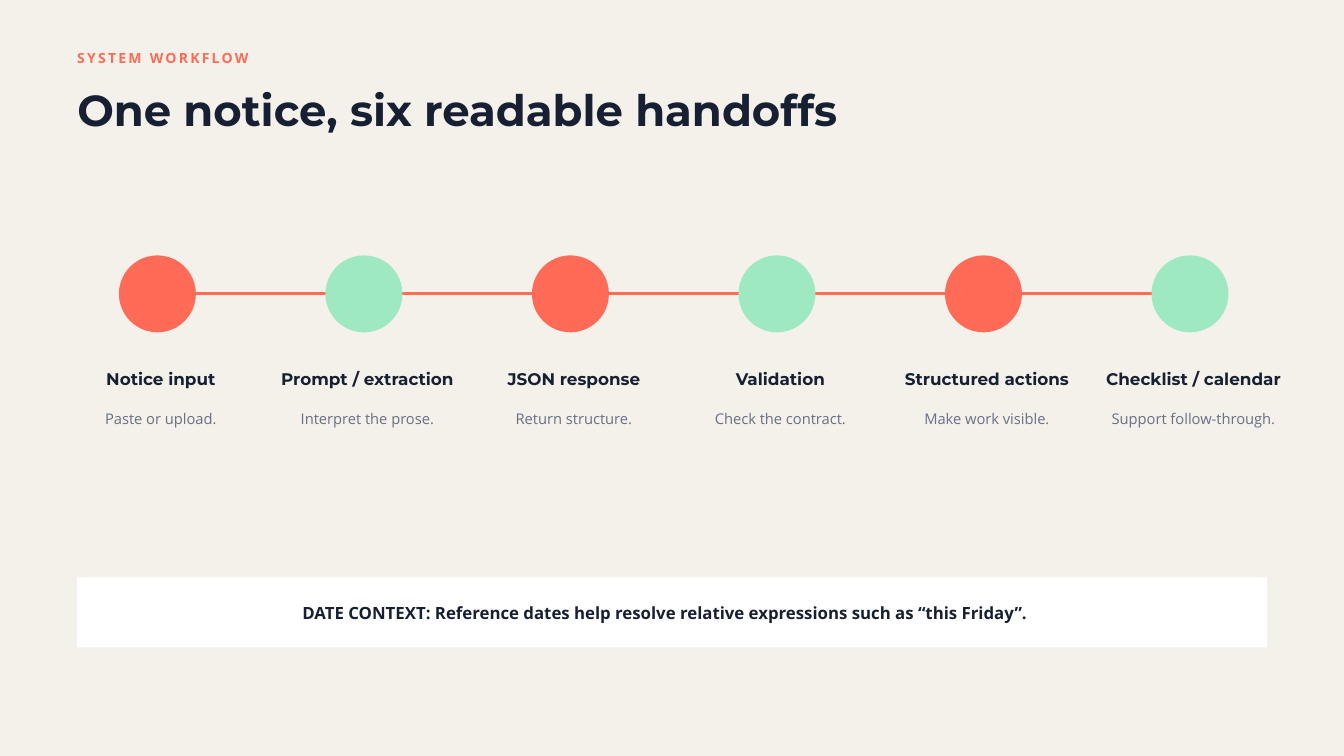
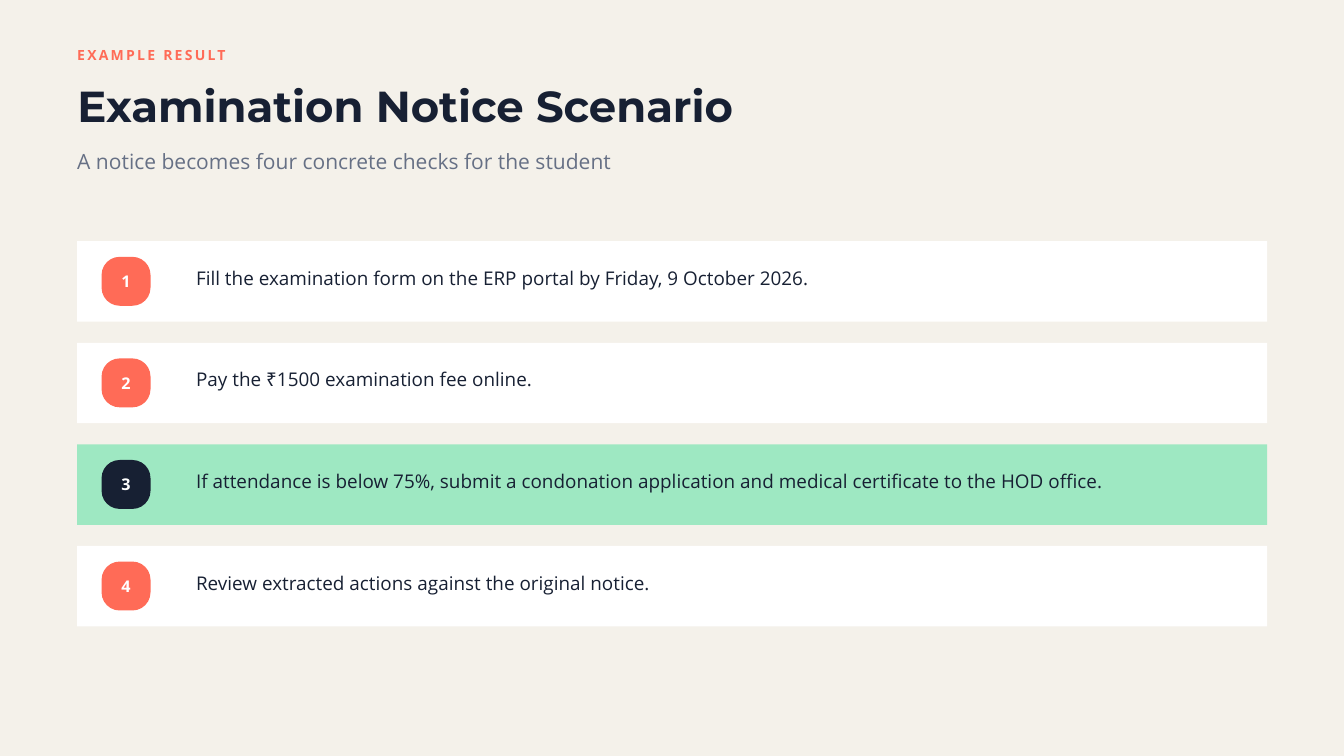
import dataclasses

import pptx
import pptx.dml.color
import pptx.enum.shapes
import pptx.enum.text
import pptx.oxml.ns
import pptx.util
from lxml import etree

Cm, Pt = pptx.util.Cm, pptx.util.Pt
RGBColor = pptx.dml.color.RGBColor
Shape = pptx.enum.shapes.MSO_SHAPE
Align = pptx.enum.text.PP_ALIGN
Anchor = pptx.enum.text.MSO_ANCHOR

PAPER = RGBColor(0xF4, 0xF1, 0xEA)
CORAL = RGBColor(0xFF, 0x6B, 0x57)
MINT = RGBColor(0x9E, 0xE8, 0xC2)
NAVY = RGBColor(0x17, 0x20, 0x33)
GREY = RGBColor(0x66, 0x70, 0x85)
WHITE = RGBColor(0xFF, 0xFF, 0xFF)

MARGIN = 2.92
CONTENT_WIDTH = 44.98


@dataclasses.dataclass
class Style:
    font: str
    size: float
    leading: float
    color: RGBColor
    bold: bool = False
    align: Align = Align.LEFT
    tracking: float = 0


EYEBROW = Style("Open Sans", 15, 21, CORAL, bold=True, tracking=2.4)
TITLE = Style("Montserrat", 46.5, 50.2, NAVY, bold=True)
SUBTITLE = Style("Open Sans", 22.5, 31.5, GREY)
STEP_NAME = Style("Montserrat", 18, 25.2, NAVY, bold=True, align=Align.CENTER)
STEP_NOTE = Style("Open Sans", 15.75, 22, GREY, align=Align.CENTER)
CONTEXT = Style("Open Sans", 18, 25.2, NAVY, bold=True, align=Align.CENTER)
BADGE = Style("Open Sans", 17.25, 19.8, WHITE, bold=True, align=Align.CENTER)
CHECK = Style("Open Sans", 20.25, 27.3, NAVY)

STEPS = [
    ("Notice input", "Paste or upload."),
    ("Prompt / extraction", "Interpret the prose."),
    ("JSON response", "Return structure."),
    ("Validation", "Check the contract."),
    ("Structured actions", "Make work visible."),
    ("Checklist / calendar", "Support follow-through."),
]

CHECKS = [
    ("Fill the examination form on the ERP portal by Friday, 9 October 2026.", WHITE, CORAL),
    ("Pay the ₹1500 examination fee online.", WHITE, CORAL),
    ("If attendance is below 75%, submit a condonation application and medical "
     "certificate to the HOD office.", MINT, NAVY),
    ("Review extracted actions against the original notice.", WHITE, CORAL),
]


def write(box, text, style, anchor=Anchor.TOP, inset=0):
    frame = box.text_frame
    frame.text = text
    frame.word_wrap = True
    frame.auto_size = pptx.enum.text.MSO_AUTO_SIZE.NONE
    frame.vertical_anchor = anchor
    frame.margin_left = frame.margin_right = Cm(inset)
    frame.margin_top = frame.margin_bottom = Cm(inset)
    para = frame.paragraphs[0]
    para.alignment = style.align
    para.line_spacing = Pt(style.leading)
    para.space_before = Pt(0)
    span = para.runs[0]
    span.font.name = style.font
    span.font.size = Pt(style.size)
    span.font.bold = style.bold
    span.font.color.rgb = style.color
    if style.tracking:
        span.font._element.set("spc", str(round(style.tracking * 100)))


def add_text(page, text, style, left, top, width, height):
    box = page.shapes.add_textbox(Cm(left), Cm(top), Cm(width), Cm(height))
    write(box, text, style)


def add_block(page, kind, color, left, top, width, height):
    """Add a flat filled shape without outline."""
    block = page.shapes.add_shape(kind, Cm(left), Cm(top), Cm(width), Cm(height))
    block.shadow.inherit = False
    block.fill.solid()
    block.fill.fore_color.rgb = color
    block.line.fill.background()
    return block


def add_rule(page, start, end, y):
    rule = page.shapes.add_connector(
        pptx.enum.shapes.MSO_CONNECTOR.STRAIGHT, Cm(start), Cm(y), Cm(end), Cm(y))
    rule.line.color.rgb = CORAL
    rule.line.width = Pt(3)
    etree.SubElement(rule._element.spPr, pptx.oxml.ns.qn("a:effectLst"))


def add_page(deck, eyebrow, title, top):
    """Add a slide with the shared background, eyebrow and title."""
    page = deck.slides.add_slide(deck.slide_layouts.get_by_name("Title Only"))
    page.background.fill.solid()
    page.background.fill.fore_color.rgb = PAPER
    add_text(page, eyebrow, EYEBROW, MARGIN, top, 15.88, 0.71)
    heading = page.shapes.title
    heading.left, heading.top = Cm(MARGIN), Cm(top + 1.55)
    heading.width, heading.height = Cm(39.67), Cm(1.78)
    write(heading, title, TITLE)
    return page


def add_step(page, name, note, color, center, y):
    dot = 2.91
    add_block(page, Shape.OVAL, color, center - dot / 2, y - dot / 2, dot, dot)
    label_left, label_width = center - 3.31, 6.88
    add_text(page, name, STEP_NAME, label_left, y + 2.7, label_width, 0.84)
    add_text(page, note, STEP_NOTE, label_left, y + 4.28, label_width, 0.74)


def add_check(page, number, text, card_color, badge_color, top):
    add_block(page, Shape.RECTANGLE, card_color, MARGIN, top, CONTENT_WIDTH, 3.04)
    badge = add_block(page, Shape.ROUNDED_RECTANGLE, badge_color,
                      MARGIN + 0.92, top + 0.59, 1.85, 1.85)
    badge.adjustments[0] = 0.37
    write(badge, str(number), BADGE, Anchor.MIDDLE, 0.16)
    badge.text_frame.margin_top = Cm(0.2)
    add_text(page, text, CHECK, 7.41, top + 0.85, 37.57, 0.91)


def add_workflow_page(deck):
    page = add_page(deck, "SYSTEM WORKFLOW", "One notice, six readable handoffs", 1.78)
    first, last, y = 5.95, 44.98, 11.11
    pitch = (last - first) / (len(STEPS) - 1)
    add_rule(page, first, last, y)
    for index, (name, note) in enumerate(STEPS):
        color = MINT if index % 2 else CORAL
        add_step(page, name, note, color, first + index * pitch, y)
    add_block(page, Shape.RECTANGLE, WHITE, MARGIN, 21.83, CONTENT_WIDTH, 2.65)
    add_text(page, "DATE CONTEXT: Reference dates help resolve relative expressions "
             "such as “this Friday”.", CONTEXT, 3.97, 22.67, 42.33, 0.81)


def add_example_page(deck):
    page = add_page(deck, "EXAMPLE RESULT", "Examination Notice Scenario", 1.65)
    add_text(page, "A notice becomes four concrete checks for the student",
             SUBTITLE, MARGIN, 5.46, 37.03, 1.07)
    for index, (text, card_color, badge_color) in enumerate(CHECKS):
        add_check(page, index + 1, text, card_color, badge_color, 9.12 + index * 3.84)


def main():
    deck = pptx.Presentation()
    deck.slide_width, deck.slide_height = Cm(50.8), Cm(28.58)
    add_workflow_page(deck)
    add_example_page(deck)
    deck.save("out.pptx")


if __name__ == "__main__":
    main()
